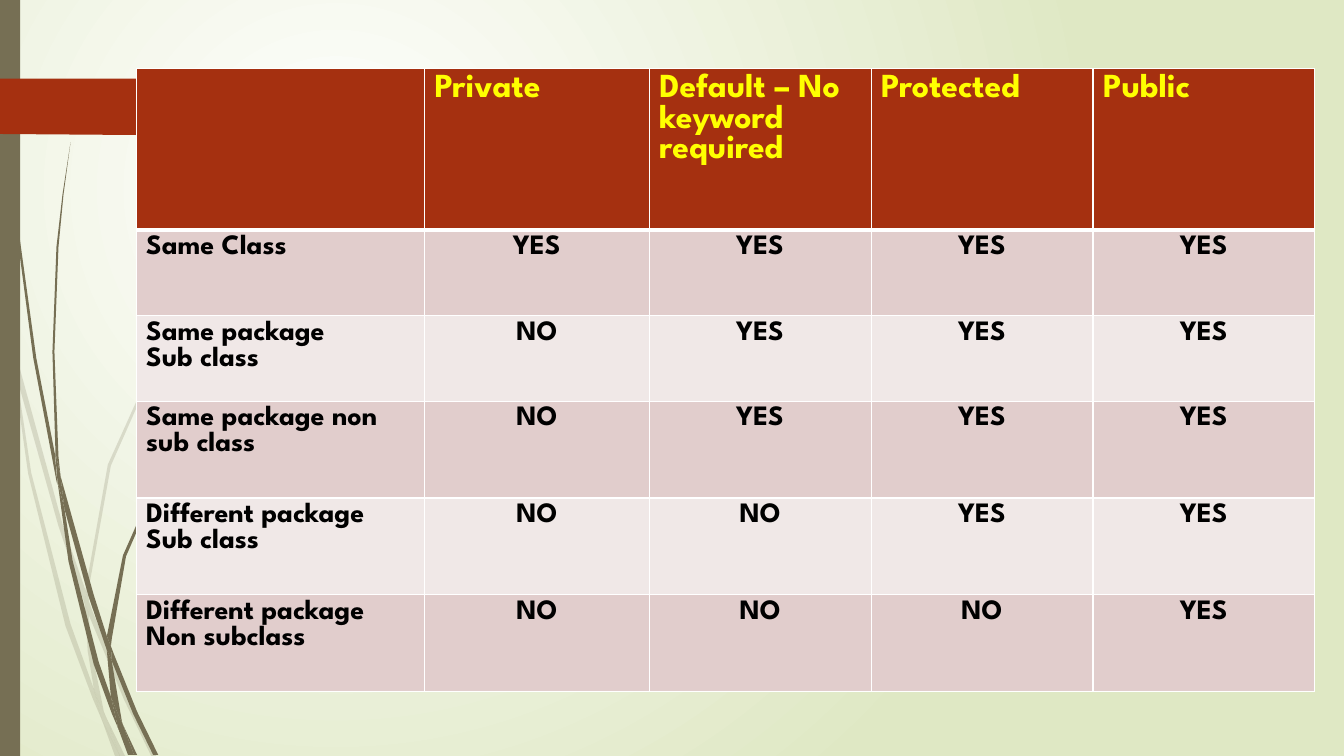
from pptx import Presentation
from pptx.dml.color import RGBColor
from pptx.enum.shapes import MSO_SHAPE
from pptx.enum.text import PP_ALIGN
from pptx.oxml import parse_xml
from pptx.oxml.ns import nsdecls, qn
from pptx.util import Inches, Pt

RECTANGLE = MSO_SHAPE.RECTANGLE
LEFT, CENTER = PP_ALIGN.LEFT, PP_ALIGN.CENTER

WHITE = RGBColor(0xFF, 0xFF, 0xFF)
BLACK = RGBColor(0x00, 0x00, 0x00)
YELLOW = RGBColor(0xFF, 0xFF, 0x00)
PALE_GREEN = RGBColor(0xDF, 0xE8, 0xC4)
OLIVE = RGBColor(0x76, 0x6F, 0x54)
RUST = RGBColor(0xA5, 0x30, 0x10)
ROSE = RGBColor(0xE1, 0xCD, 0xCC)
PALE_ROSE = RGBColor(0xF0, 0xE8, 0xE7)
FONT = "League Spartan"

# Each blade section is an outline in inches.
FAINT_BLADES = [
    [(0.11, 3.5), (0.09, 3.22), (0, 2.82), (0, 2.99), (0.1, 3.44)],
    [(0.58, 5.22), (0.84, 5.99), (0.85, 5.86), (0.62, 5.2), (0.14, 3.45), (0.17, 3.76)],
    [(0.92, 6.07), (0.88, 5.96), (0.88, 6.1), (1.23, 6.94), (1.5, 7.5), (1.55, 7.5), (1.27, 6.92)],
    [(1.19, 7.5), (1.24, 7.5), (1.05, 7.11)],
    [(0.93, 6.83), (0.7, 6.19), (0.31, 4.69), (0.17, 3.76), (0.11, 3.5), (0.28, 4.7),
     (0.65, 6.21), (0.92, 6.93), (1.01, 7.14), (0.99, 7.07)],
    [(0.84, 5.99), (0.87, 6.46), (0.93, 6.83), (0.96, 6.92), (1.05, 7.11), (1.03, 7.06),
     (0.91, 6.46), (0.88, 6.1), (0.88, 6.08)],
    [(0.88, 5.84), (1.1, 4.62), (1.6, 3.49), (2.29, 2.45), (2.68, 1.98), (2.9, 1.75),
     (3.12, 1.54), (3.12, 1.53), (2.89, 1.75), (2.68, 1.97), (2.28, 2.44), (1.58, 3.48),
     (1.07, 4.61), (0.85, 5.84), (0.85, 5.86), (0.88, 5.96)],
    [(1.01, 7.14), (1.14, 7.5), (1.19, 7.5)],
    [(0.88, 6.08), (0.88, 6.1), (0.88, 5.96), (0.85, 5.86), (0.84, 5.99)],
    [(0.96, 6.92), (0.93, 6.83), (0.99, 7.07), (1.01, 7.14), (1.19, 7.5), (1.05, 7.11)],
]
DARK_BLADES = [
    [(0.07, 1.1), (0.17, 2.33), (0.33, 3.55), (0.56, 4.77), (0.57, 4.81), (0.55, 4.57),
     (0.55, 4.53), (0.36, 3.55), (0.19, 2.32), (0.08, 1.09), (0.05, 0.48), (0.04, 0),
     (0.03, 0), (0.04, 0.48)],
    [(0.88, 5.92), (1.06, 6.45), (1.06, 6.33), (1.06, 6.31), (0.93, 5.9), (0.6, 4.72), (0.64, 5.05)],
    [(1.13, 6.49), (1.1, 6.41), (1.11, 6.56), (1.32, 7.08), (1.52, 7.49), (1.57, 7.49), (1.36, 7.06)],
    [(1.1, 6.91), (0.98, 6.57), (0.72, 5.56), (0.64, 5.05), (0.57, 4.77), (0.68, 5.57),
     (0.93, 6.59), (1.11, 7.08), (1.17, 7.22), (1.16, 7.17)],
    [(0.6, 4.72), (0.58, 4.53), (0.54, 3.49), (0.58, 2.45), (0.63, 1.93), (0.7, 1.41),
     (0.62, 1.93), (0.56, 2.45), (0.52, 3.49), (0.55, 4.49)],
    [(1.33, 7.49), (1.36, 7.49), (1.22, 7.19)],
    [(0.57, 4.77), (0.64, 5.05), (0.6, 4.72), (0.55, 4.49), (0.55, 4.53)],
    [(1.11, 6.33), (1.25, 5.52), (1.58, 4.76), (2.05, 4.06), (2.31, 3.74), (2.45, 3.59),
     (2.61, 3.44), (2.6, 3.44), (2.45, 3.58), (2.31, 3.73), (2.04, 4.05), (1.56, 4.74),
     (1.22, 5.51), (1.06, 6.31), (1.1, 6.41)],
    [(1.17, 7.22), (1.27, 7.49), (1.31, 7.49)],
    [(1.06, 6.45), (1.1, 6.91), (1.16, 7.06), (1.22, 7.19), (1.21, 7.16), (1.11, 6.56), (1.09, 6.51)],
    [(1.06, 6.45), (1.09, 6.51), (1.11, 6.56), (1.1, 6.41), (1.06, 6.31), (1.06, 6.33)],
    [(1.16, 7.06), (1.1, 6.91), (1.16, 7.17), (1.17, 7.22), (1.3, 7.49), (1.33, 7.49), (1.22, 7.19)],
]
BANNER = [(1.73, 1.08), (1.48, 1.33), (1.46, 1.34), (1.36, 1.34), (0, 1.33), (0, 0.78),
          (1.46, 0.78), (1.48, 0.79), (1.73, 1.04), (1.74, 1.06)]

COLUMN_WIDTHS = [2.86, 2.23, 2.2, 2.2, 2.2]
ROW_HEIGHTS = [1.6, 0.85, 0.85, 0.96, 0.96, 0.96]
ACCESS_ROWS = [
    ["", "Private", "Default – No keyword required", "Protected", "Public"],
    ["Same Class", "YES", "YES", "YES", "YES"],
    ["Same package\nSub class", "NO", "YES", "YES", "YES"],
    ["Same package non sub class", "NO", "YES", "YES", "YES"],
    ["Different package\nSub class", "NO", "NO", "YES", "YES"],
    ["Different package\nNon subclass", "NO", "NO", "NO", "YES"],
]
HEADER_FORMAT = {"name": FONT, "size": Pt(24), "bold": True}
BODY_FORMAT = {"name": FONT, "size": Pt(20), "bold": True}


def paint(shape, color):
    """Give a shape a plain fill without outline or shadow."""
    shape.shadow.inherit = False
    shape.fill.solid()
    shape.fill.fore_color.rgb = color
    shape.line.fill.background()


def add_outline(shapes, points, color):
    corners = [(Inches(x), Inches(y)) for x, y in points]
    builder = shapes.build_freeform(*corners[0])
    builder.add_line_segments(corners[1:], close=True)
    outline = builder.convert_to_shape()
    paint(outline, color)
    return outline


prs = Presentation()
prs.slide_width, prs.slide_height = Inches(13.33), Inches(7.5)
slide = prs.slides.add_slide(prs.slide_layouts[6])

# Radial background
background = slide.background.fill
background.gradient()
for stop, color in zip(background.gradient_stops, (WHITE, PALE_GREEN)):
    stop.color.rgb = color
linear = slide.element.find(".//" + qn("a:lin"))
linear.getparent().replace(linear, parse_xml(
    f'<a:path {nsdecls("a")} path="circle">'
    '<a:fillToRect l="50000" t="50000" r="100000" b="100000"/></a:path>'))

# Grass, side bar and banner
for blades, opacity in ((FAINT_BLADES, 20), (DARK_BLADES, 100)):
    grass = slide.shapes.add_group_shape()
    for points in blades:
        blade = add_outline(grass.shapes, points, OLIVE)
        if opacity < 100:
            blade_color = blade.element.spPr.find(qn("a:solidFill"))[0]
            blade_color.append(parse_xml(f'<a:alpha {nsdecls("a")} val="{opacity * 1000}"/>'))

side_bar = slide.shapes.add_shape(RECTANGLE, 0, 0, Inches(0.2), Inches(7.5))
paint(side_bar, OLIVE)
add_outline(slide.shapes, BANNER, RUST)

# Access table
access_table = slide.shapes.add_table(
    len(ROW_HEIGHTS), len(COLUMN_WIDTHS), Inches(1.35), Inches(0.68),
    Inches(sum(COLUMN_WIDTHS)), Inches(sum(ROW_HEIGHTS))).table
for column, width in zip(access_table.columns, COLUMN_WIDTHS):
    column.width = Inches(width)

for row_index, (height, texts) in enumerate(zip(ROW_HEIGHTS, ACCESS_ROWS)):
    access_table.rows[row_index].height = Inches(height)
    is_header = row_index == 0
    if is_header:
        row_fill, text_color, text_format = RUST, YELLOW, HEADER_FORMAT
    else:
        row_fill = ROSE if row_index % 2 else PALE_ROSE
        text_color, text_format = BLACK, BODY_FORMAT
    for column_index, text in enumerate(texts):
        cell = access_table.cell(row_index, column_index)
        cell_properties = cell._tc.get_or_add_tcPr()
        for side in "LRTB":
            heavy = (is_header and side == "B") or (row_index == 1 and side == "T")
            cell_properties.append(parse_xml(
                f'<a:ln{side} {nsdecls("a")} w="{Pt(3 if heavy else 1)}">'
                f'<a:solidFill><a:srgbClr val="{WHITE}"/></a:solidFill></a:ln{side}>'))
        cell.fill.solid()
        cell.fill.fore_color.rgb = row_fill
        cell.text = text
        for paragraph in cell.text_frame.paragraphs:
            paragraph.alignment = LEFT if is_header or column_index == 0 else CENTER
            for attribute, value in text_format.items():
                setattr(paragraph.font, attribute, value)
            paragraph.font.color.rgb = text_color

prs.save("out.pptx")
